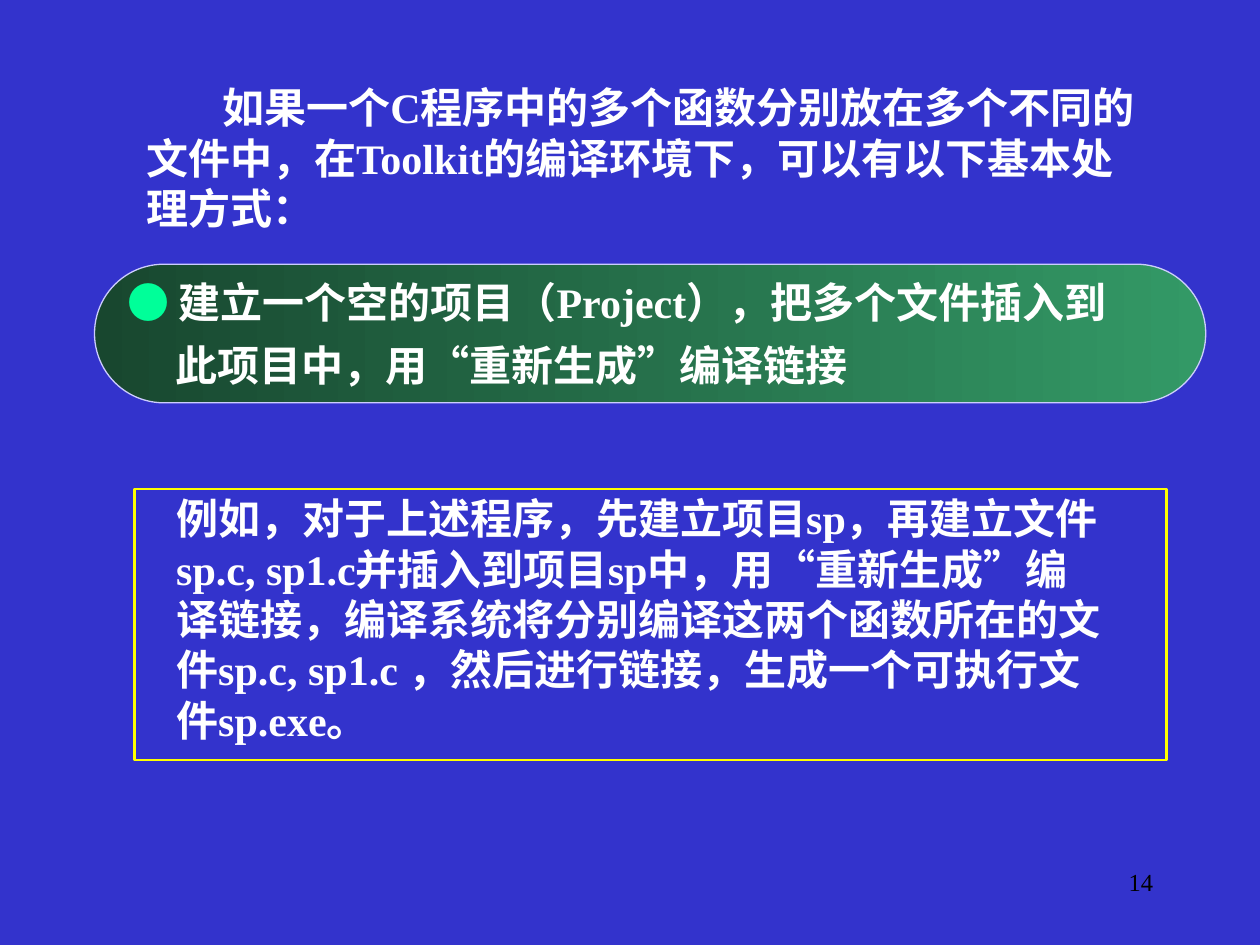
from pptx import Presentation
from pptx.dml.color import RGBColor
from pptx.enum.shapes import MSO_SHAPE
from pptx.enum.text import MSO_ANCHOR, PP_ALIGN
from pptx.util import Pt

FONT = "Times New Roman"
HUES = {"back": "3333CC", "text": "FFFFFF", "dot": "00FF99", "dark": "18472F",
        "green": "339966", "rim": "CCCCFF", "frame": "FFFF00", "page": "000000"}

INTRO = "如果一个C程序中的多个函数分别放在多个不同的文件中，在Toolkit的编译环境下，可以有以下基本处理方式："
STEP = ["建立一个空的项目（Project），把多个文件插入到",
        "此项目中，用“重新生成”编译链接"]
CASE = ("例如，对于上述程序，先建立项目sp，再建立文件sp.c, sp1.c并插入到项目sp中，"
        "用“重新生成”编译链接，编译系统将分别编译这两个函数所在的文件sp.c, sp1.c ，"
        "然后进行链接，生成一个可执行文件sp.exe。")
PAGE = "14"


def color(name):
    return RGBColor.from_string(HUES[name])


def style(font, hue="text", size=24, bold=True):
    font.name, font.size, font.bold = FONT, Pt(size), bold
    font.color.rgb = color(hue)


def add_box(x, y, w, h, text, **look):
    box = slide.shapes.add_textbox(Pt(x), Pt(y), Pt(w), Pt(h))
    box.text_frame.word_wrap = True
    para = box.text_frame.paragraphs[0]
    para.text = text
    style(para.font, **look)
    return para


def add_shape(kind, x, y, w, h, hue, width):
    shape = slide.shapes.add_shape(kind, Pt(x), Pt(y), Pt(w), Pt(h))
    shape.shadow.inherit = False
    shape.line.color.rgb = color(hue)
    shape.line.width = Pt(width)
    return shape


def indent(para, **sizes):
    props = para._p.get_or_add_pPr()
    for key, size in sizes.items():
        props.set(key, str(Pt(size)))


deck = Presentation()
deck.slide_width, deck.slide_height = Pt(720), Pt(540)
slide = deck.slides.add_slide(deck.slide_layouts[6])
slide.background.fill.solid()
slide.background.fill.fore_color.rgb = color("back")

# Introduction
indent(add_box(76.5, 43.2, 589.5, 94.3, INTRO), marL=0, indent=43.5)

# Green pill with the step
pill = add_shape(MSO_SHAPE.ROUNDED_RECTANGLE, 54, 151, 635, 79.2, "rim", 0.75)
pill.adjustments[0] = 0.5
pill.fill.gradient()
pill.fill.gradient_angle = 0
for stop, hue in zip(pill.fill.gradient_stops, ("dark", "green")):
    stop.color.rgb = color(hue)
frame = pill.text_frame
frame.word_wrap = False
frame.vertical_anchor = MSO_ANCHOR.MIDDLE
first, second = frame.paragraphs[0], frame.add_paragraph()
for para in (first, second):
    para.alignment = PP_ALIGN.LEFT
dot = first.add_run()
dot.text = "● "
style(dot.font, "dot", bold=False)
lead = first.add_run()
lead.text = STEP[0]
style(lead.font)
second.text = STEP[1]
second.space_before = Pt(7.2)
indent(second, marL=27.4, indent=0)
style(second.font)

# Framed example
add_box(93.6, 278, 545.8, 155, CASE)
edge = add_shape(MSO_SHAPE.RECTANGLE, 77, 279.4, 589.7, 154.8, "frame", 1.5)
edge.fill.background()

# Page number
page = add_box(516.2, 491.8, 149.8, 36, PAGE, hue="page", size=14, bold=False)
page.alignment = PP_ALIGN.RIGHT

deck.save("out.pptx")
